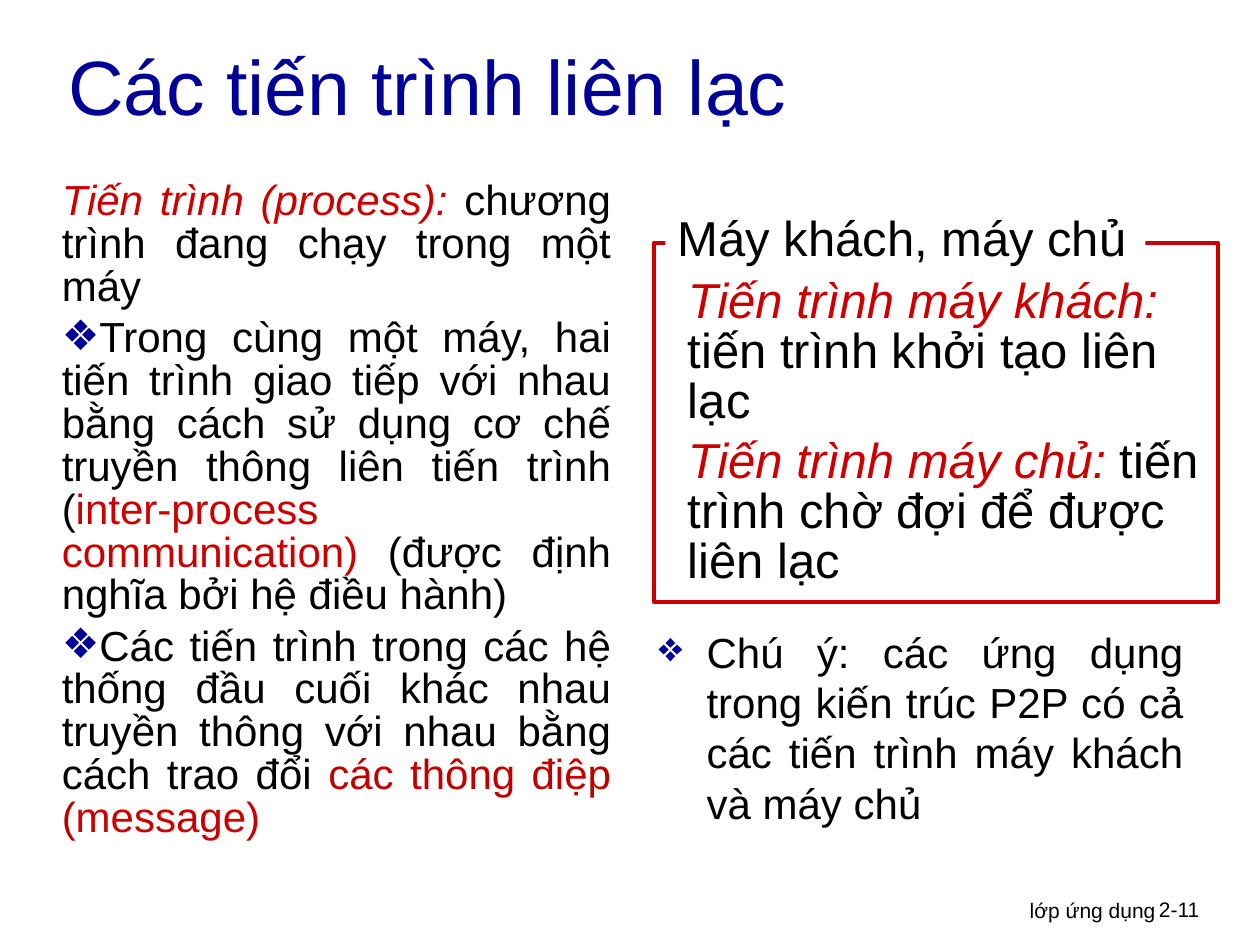
from dataclasses import dataclass

from lxml import etree
from pptx import Presentation
from pptx.dml.color import RGBColor
from pptx.enum.shapes import MSO_SHAPE
from pptx.enum.text import MSO_ANCHOR, MSO_AUTO_SIZE, PP_ALIGN
from pptx.oxml.ns import qn
from pptx.util import Inches, Pt

LEFT, RIGHT, JUSTIFY = PP_ALIGN.LEFT, PP_ALIGN.RIGHT, PP_ALIGN.JUSTIFY
TOP, MIDDLE = MSO_ANCHOR.TOP, MSO_ANCHOR.MIDDLE
RECT = MSO_SHAPE.RECTANGLE
NO_FIT = MSO_AUTO_SIZE.NONE


@dataclass(frozen=True)
class Theme:
    font: str = "Arial"
    navy: str = "000099"
    red: str = "CC0000"
    dark: str = "C00000"
    black: str = "000000"
    white: str = "FFFFFF"
    title: int = 44
    large: int = 28
    body: int = 24
    small: int = 12


THEME = Theme()


def rgb(code):
    return RGBColor.from_string(code)


def place(shape, left, top, width, height):
    shape.left, shape.top = Inches(left), Inches(top)
    shape.width, shape.height = Inches(width), Inches(height)


def set_bullet(para, mark, margin, indent):
    """Set the indents and the bullet; no mark means no bullet."""
    props = para._p.get_or_add_pPr()
    props.set("marL", str(Inches(margin)))
    props.set("indent", str(Inches(indent)))
    if not mark:
        etree.SubElement(props, qn("a:buNone"))
        return
    tint = etree.SubElement(props, qn("a:buClr"))
    etree.SubElement(tint, qn("a:srgbClr")).set("val", THEME.navy)
    etree.SubElement(props, qn("a:buChar")).set("char", mark)


def write(para, runs, size=THEME.body, color=THEME.black, align=LEFT,
          lines=1.0, before=0, mark=None, margin=0, indent=0):
    """Fill a paragraph; runs is a string or (text, color, italic) tuples."""
    if isinstance(runs, str):
        runs = [(runs, color, False)]
    para.alignment = align
    para.line_spacing = lines
    para.space_before = Pt(before)
    set_bullet(para, mark, margin, indent)
    for text, tint, italic in runs:
        run = para.add_run()
        run.text = text
        font = run.font
        font.name, font.size, font.italic = THEME.font, Pt(size), italic
        font.color.rgb = rgb(tint)


def frame_of(shape, anchor=TOP):
    frame = shape.text_frame
    frame.word_wrap = True
    frame.auto_size = NO_FIT
    frame.vertical_anchor = anchor
    return frame


def add_label(slide, box, text, fill=None, **style):
    label = slide.shapes.add_textbox(*map(Inches, box))
    if fill:
        label.fill.solid()
        label.fill.fore_color.rgb = rgb(fill)
    write(frame_of(label).paragraphs[0], text, **style)


def fill_title(slide, box, text):
    title = slide.shapes.title
    place(title, *box)
    write(frame_of(title, MIDDLE).paragraphs[0], text,
          size=THEME.title, color=THEME.navy)


def fill_body(holder, box, items, gap, **style):
    """Fill a body placeholder with (runs, extra format) items."""
    place(holder, *box)
    frame = frame_of(holder)
    for i, (runs, extra) in enumerate(items):
        para = frame.add_paragraph() if i else frame.paragraphs[0]
        write(para, runs, lines=0.85, before=gap if i else 0,
              **style, **extra)


def add_frame(slide, box):
    frame = slide.shapes.add_shape(RECT, *map(Inches, box))
    frame.shadow.inherit = False
    frame.fill.background()
    frame.line.color.rgb = rgb(THEME.red)
    frame.line.width = Pt(2.25)


def main():
    deck = Presentation()
    deck.slide_width, deck.slide_height = Inches(10), Inches(7.5)
    slide = deck.slides.add_slide(deck.slide_layouts[3])
    red, dark, black = THEME.red, THEME.dark, THEME.black
    point = {"mark": "❖", "indent": -0.11}

    # Title
    fill_title(slide, (0.44, 0.2, 8.5, 0.94), "Các tiến trình liên lạc")

    # Left column: processes
    fill_body(slide.placeholders[1], (0.39, 1.39, 4.56, 5.08), [
        ([("Tiến trình (process):", red, True),
          (" chương trình đang chạy trong một máy", black, False)], {}),
        ([("Trong cùng một máy, hai tiến trình giao tiếp với nhau bằng cách "
           "sử dụng cơ chế truyền thông liên tiến trình (", black, False),
          ("inter-process communication)", red, False),
          (" (được định nghĩa bởi hệ điều hành)", black, False)], point),
        ([("Các tiến trình trong các hệ thống đầu cuối khác nhau truyền "
           "thông với nhau bằng cách trao đổi ", black, False),
          ("các thông điệp (", dark, False),
          ("message)", red, False)], point),
    ], gap=4.8, align=JUSTIFY)

    # Right column: client and server, framed with a caption
    fill_body(slide.placeholders[2], (5.36, 2.16, 4.37, 2.22), [
        ([("Tiến trình máy khách:", red, True),
          (" tiến trình khởi tạo liên lạc", black, False)], {}),
        ([("Tiến trình máy chủ:", red, True),
          (" tiến trình chờ đợi để được liên lạc", black, False)], {}),
    ], gap=5.6, size=THEME.large)
    add_frame(slide, (5.19, 1.93, 4.48, 2.85))
    add_label(slide, (5.28, 1.6, 3.81, 0.57), "Máy khách, máy chủ",
              fill=THEME.white, size=THEME.large, margin=0.38, indent=-0.38)

    # Note below the frame
    add_label(slide, (5.13, 4.92, 4.36, 2.01),
              "Chú ý: các ứng dụng trong kiến trúc P2P có cả các tiến trình "
              "máy khách và máy chủ",
              align=JUSTIFY, mark="❖", margin=0.38, indent=-0.38)

    # Footer
    add_label(slide, (6.1, 7.07, 3.17, 0.31), "lớp ứng dụng",
              size=THEME.small, align=RIGHT)
    add_label(slide, (9.1, 7.07, 0.74, 0.3), "2-11", size=THEME.small)

    deck.save("out.pptx")


if __name__ == "__main__":
    main()
